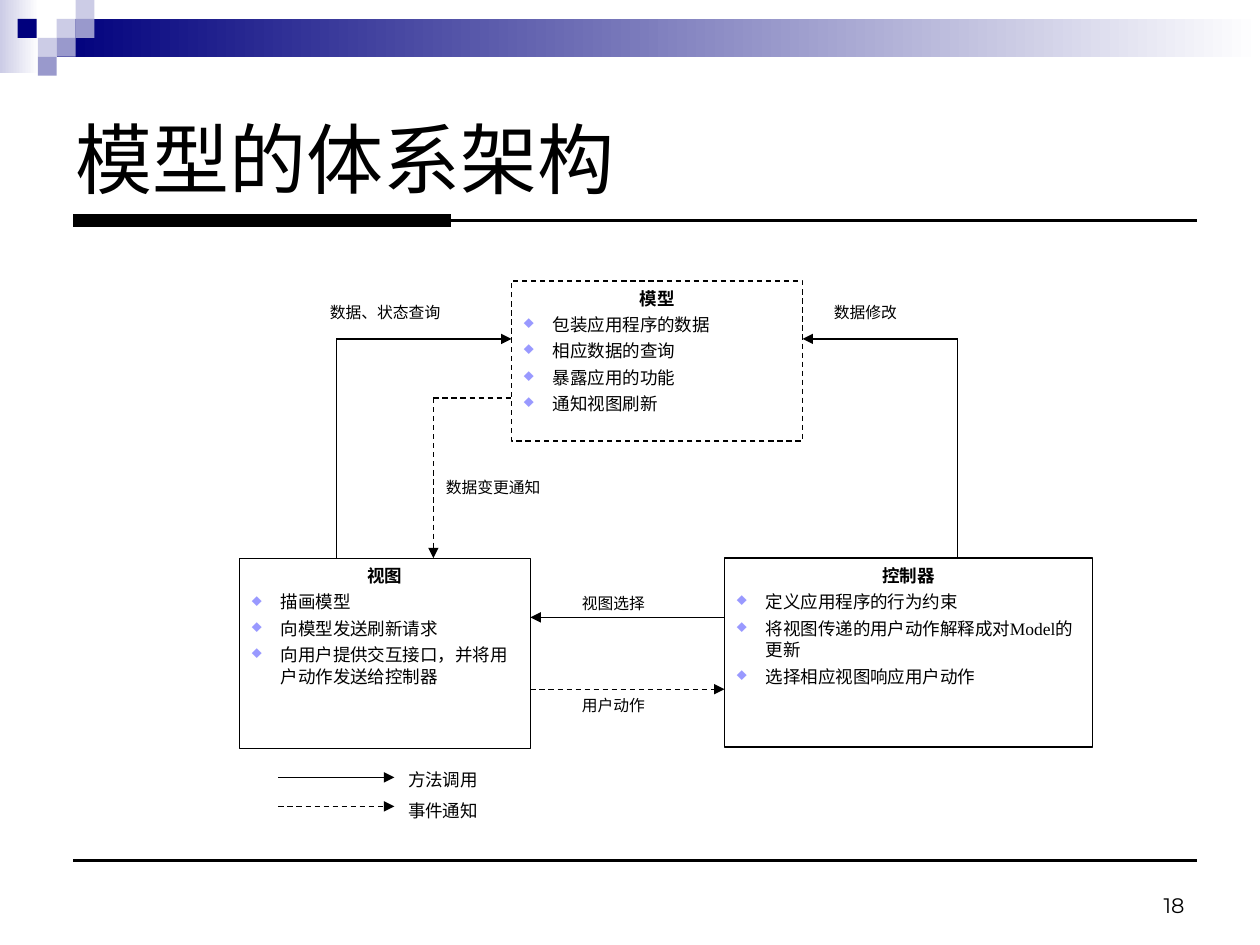
from dataclasses import dataclass

from lxml import etree
from pptx import Presentation
from pptx.dml.color import RGBColor
from pptx.enum import dml, shapes, text
from pptx.oxml import ns
from pptx.util import Inches, Pt


@dataclass(frozen=True)
class Theme:
    ink: str = "000000"
    paper: str = "FFFFFF"
    navy: str = "00007D"
    mid: str = "9999CC"
    pale: str = "CCCCE6"
    bullet: str = "9999FF"
    title_font: str = "Arial"
    body_font: str = "Times New Roman"
    number_font: str = "Montserrat"
    title_size: float = 44
    number_size: float = 12
    body_size: float = 10
    label_size: float = 9
    hairline: float = 0.75
    rule: float = 1.5
    heavy_rule: float = 8
    line_spacing: float = 1.04


@dataclass(frozen=True)
class Component:
    name: str
    duties: tuple[str, ...]
    box: tuple[float, float, float, float]
    dashed: bool = False


@dataclass(frozen=True)
class Link:
    start: tuple[float, float]
    end: tuple[float, float]
    dashed: bool = False
    arrow: bool = True
    width: float = 0.75


@dataclass(frozen=True)
class Label:
    words: str
    left: float
    top: float
    width: float = 1.08
    size: float = 9


THEME = Theme()
TILE = 0.15

# Header mosaic: left, top, colour
TILES = [
    (0.45, 0.15, THEME.pale), (0.6, 0, THEME.pale), (0.6, 0.15, THEME.mid),
    (0.3, 0.3, THEME.pale), (0.14, 0.15, THEME.navy), (0.45, 0.3, THEME.mid),
    (0.3, 0.45, THEME.mid),
]
RULES = [
    Link((0.58, 1.75), (9.5, 1.75), arrow=False, width=THEME.rule),
    Link((0.58, 6.83), (9.5, 6.83), arrow=False, width=THEME.rule),
    Link((0.58, 1.75), (3.58, 1.75), arrow=False, width=THEME.heavy_rule),
]
COMPONENTS = [
    Component("模型", ("包装应用程序的数据", "相应数据的查询", "暴露应用的功能", "通知视图刷新"),
              (4.06, 2.23, 2.31, 1.27), dashed=True),
    Component("视图", ("描画模型", "向模型发送刷新请求", "向用户提供交互接口，并将用户动作发送给控制器"),
              (1.9, 4.43, 2.31, 1.51)),
    Component("控制器", ("定义应用程序的行为约束", "将视图传递的用户动作解释成对Model的更新",
                      "选择相应视图响应用户动作"), (5.75, 4.43, 2.92, 1.5)),
]
LINKS = [
    # Controller and view
    Link((5.75, 4.9), (4.21, 4.9)),
    Link((4.21, 5.47), (5.75, 5.47), dashed=True),
    # Legend
    Link((2.21, 6.17), (3.13, 6.17)),
    Link((2.21, 6.4), (3.13, 6.4), dashed=True),
    # Model notifies view
    Link((3.44, 3.16), (4.06, 3.16), dashed=True, arrow=False),
    Link((3.44, 3.16), (3.44, 4.43), dashed=True),
    # View queries model
    Link((2.67, 4.43), (2.67, 2.69), arrow=False),
    Link((2.67, 2.69), (4.06, 2.69)),
    # Controller changes model
    Link((7.6, 4.43), (7.6, 2.69), arrow=False),
    Link((7.6, 2.69), (6.37, 2.69)),
]
LABELS = [
    Label("视图选择", 4.52, 4.66),
    Label("用户动作", 4.52, 5.47),
    Label("方法调用", 3.14, 6.05, size=THEME.body_size),
    Label("事件通知", 3.14, 6.29, size=THEME.body_size),
    Label("数据变更通知", 3.44, 3.74, 1.38),
    Label("数据、状态查询", 2.52, 2.35, 1.38),
    Label("数据修改", 6.52, 2.35, 1.39),
]


def rgb(colour: str) -> RGBColor:
    return RGBColor.from_string(colour)


def add_run(paragraph, words: str, size: float, font: str = THEME.body_font,
            bold: bool = False) -> None:
    run = paragraph.add_run()
    run.text = words
    run.font.size = Pt(size)
    run.font.name = font
    run.font.bold = bold
    run.font.color.rgb = rgb(THEME.ink)


def add_bullet(paragraph) -> None:
    props = paragraph._p.get_or_add_pPr()
    props.set("marL", str(Inches(0.23)))
    props.set("indent", str(Inches(-0.23)))
    colour = etree.SubElement(props, ns.qn("a:buClr"))
    etree.SubElement(colour, ns.qn("a:srgbClr"), val=THEME.bullet)
    etree.SubElement(props, ns.qn("a:buChar"), char="♦")


def add_block(slide, box: tuple[float, float, float, float]):
    block = slide.shapes.add_shape(shapes.MSO_SHAPE.RECTANGLE, *map(Inches, box))
    block.shadow.inherit = False
    block.line.fill.background()
    return block


def add_gradient(slide, box: tuple[float, float, float, float], colour: str) -> None:
    fill = add_block(slide, box).fill
    fill.gradient()
    fill.gradient_angle = 180
    for stop, shade in zip(fill.gradient_stops, (THEME.paper, colour)):
        stop.color.rgb = rgb(shade)


def add_tile(slide, left: float, top: float, colour: str) -> None:
    fill = add_block(slide, (left, top, TILE, TILE)).fill
    fill.solid()
    fill.fore_color.rgb = rgb(colour)


def set_line(line, width: float, dashed: bool) -> None:
    line.color.rgb = rgb(THEME.ink)
    line.width = Pt(width)
    if dashed:
        line.dash_style = dml.MSO_LINE.DASH


def add_component(slide, component: Component) -> None:
    block = add_block(slide, component.box)
    block.fill.solid()
    block.fill.fore_color.rgb = rgb(THEME.paper)
    set_line(block.line, THEME.hairline, component.dashed)
    frame = block.text_frame
    frame.word_wrap = True
    frame.vertical_anchor = text.MSO_ANCHOR.TOP
    heading = frame.paragraphs[0]
    heading.alignment = text.PP_ALIGN.CENTER
    heading.line_spacing = THEME.line_spacing
    add_run(heading, component.name, THEME.body_size, bold=True)
    for duty in component.duties:
        item = frame.add_paragraph()
        add_bullet(item)
        item.alignment = text.PP_ALIGN.LEFT
        item.line_spacing = THEME.line_spacing
        item.space_before = Pt(2.5)
        add_run(item, duty, THEME.body_size)


def add_link(slide, link: Link) -> None:
    connector = slide.shapes.add_connector(
        shapes.MSO_CONNECTOR.STRAIGHT, *map(Inches, link.start + link.end))
    set_line(connector.line, link.width, link.dashed)
    if link.arrow:
        etree.SubElement(connector.line._get_or_add_ln(), ns.qn("a:tailEnd"), type="triangle")
    etree.SubElement(connector._element.spPr, ns.qn("a:effectLst"))


def add_label(slide, label: Label) -> None:
    box = slide.shapes.add_textbox(*map(Inches, (label.left, label.top, label.width, 0.35)))
    box.text_frame.word_wrap = True
    line = box.text_frame.paragraphs[0]
    line.alignment = text.PP_ALIGN.JUSTIFY
    line.line_spacing = THEME.line_spacing
    add_run(line, label.words, label.size)


def add_title(slide, words: str) -> None:
    title = slide.shapes.title
    title.left, title.top, title.width, title.height = map(Inches, (0.5, 0.5, 9, 1.5))
    title.text_frame.vertical_anchor = text.MSO_ANCHOR.MIDDLE
    line = title.text_frame.paragraphs[0]
    line.alignment = text.PP_ALIGN.LEFT
    add_run(line, words, THEME.title_size, THEME.title_font)


def add_page_number(slide, number: str) -> None:
    box = slide.shapes.add_textbox(*map(Inches, (7.17, 6.83, 2.33, 0.5)))
    box.text_frame.word_wrap = True
    box.text_frame.vertical_anchor = text.MSO_ANCHOR.BOTTOM
    line = box.text_frame.paragraphs[0]
    line.alignment = text.PP_ALIGN.RIGHT
    add_run(line, number, THEME.number_size, THEME.number_font)


def main() -> None:
    deck = Presentation()
    deck.slide_width, deck.slide_height = Inches(10), Inches(7.5)
    slide = deck.slides.add_slide(deck.slide_layouts[5])

    # Header band and title
    add_gradient(slide, (0, 0, 0.31, 0.58), THEME.pale)
    add_gradient(slide, (0.45, 0.15, 9.55, 0.3), THEME.navy)
    for tile in TILES:
        add_tile(slide, *tile)
    add_title(slide, "模型的体系架构")

    # Rules, then the diagram
    for component in COMPONENTS:
        add_component(slide, component)
    for link in RULES + LINKS:
        add_link(slide, link)
    for label in LABELS:
        add_label(slide, label)
    add_page_number(slide, "18")
    deck.save("out.pptx")


if __name__ == "__main__":
    main()
